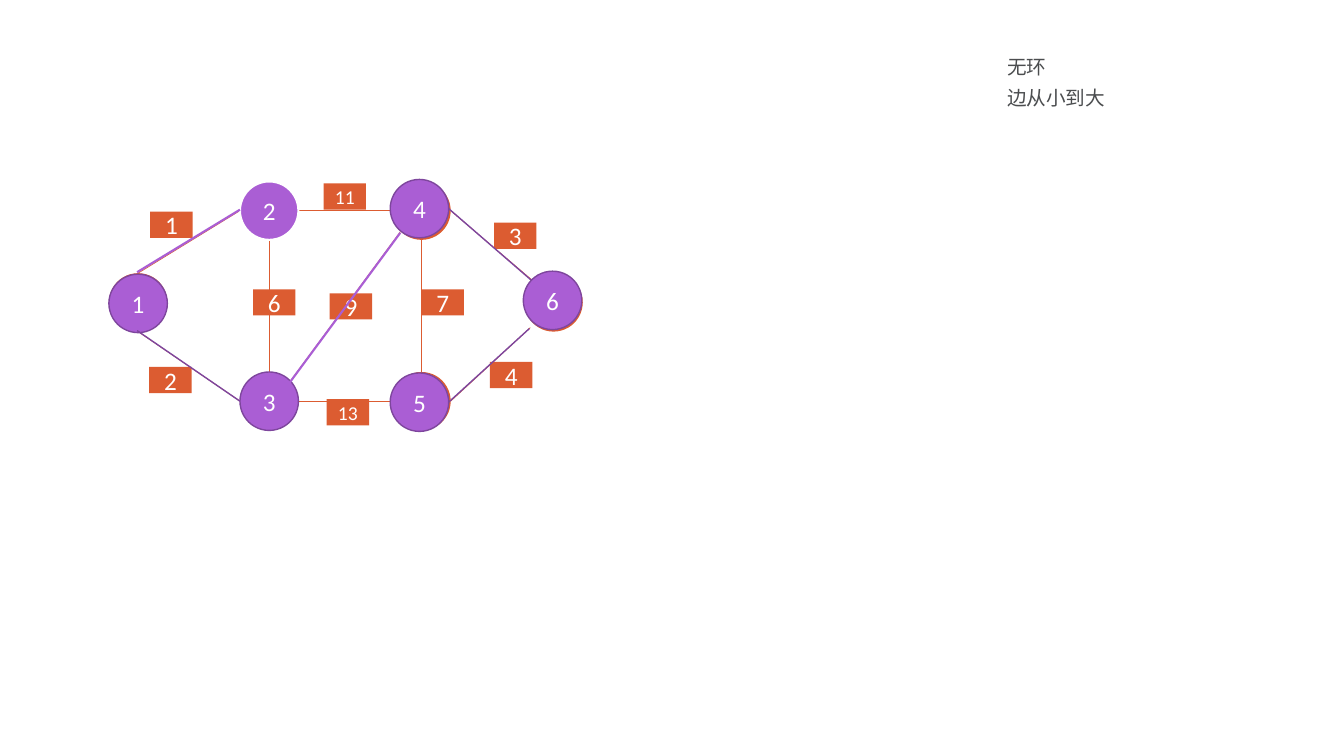
from dataclasses import dataclass

from pptx import Presentation
from pptx.dml.color import RGBColor
from pptx.enum.shapes import MSO_CONNECTOR, MSO_SHAPE
from pptx.enum.text import MSO_ANCHOR, MSO_AUTO_SIZE, PP_ALIGN
from pptx.oxml.ns import qn
from pptx.util import Inches, Pt

OVAL = MSO_SHAPE.OVAL
RECTANGLE = MSO_SHAPE.RECTANGLE
STRAIGHT = MSO_CONNECTOR.STRAIGHT
MIDDLE = MSO_ANCHOR.MIDDLE
TOP = MSO_ANCHOR.TOP
CENTER = PP_ALIGN.CENTER
LEFT = PP_ALIGN.LEFT
GROW = MSO_AUTO_SIZE.SHAPE_TO_FIT_TEXT


@dataclass(frozen=True)
class Theme:
    graph: RGBColor = RGBColor.from_string("DC5C31")
    tree: RGBColor = RGBColor.from_string("AA5ED4")
    outline: RGBColor = RGBColor.from_string("7E469D")
    white: RGBColor = RGBColor.from_string("FFFFFF")
    ink: RGBColor = RGBColor.from_string("4B4D4F")
    label_font: str = "Calibri"
    note_font: str = "Arial"
    large: int = 18
    small: int = 14


THEME = Theme()
NODE_SIZE = 0.58
WEIGHT_WIDTH, WEIGHT_HEIGHT = 0.42, 0.26

GRAPH_NODES = {"4": (2.89, 0.3), "1": (0.08, 1.21), "5": (2.89, 2.19), "6": (4.2, 1.21)}
GRAPH_EDGES = [
    ((1.96, 0.59), (2.89, 0.59)),
    ((2.97, 0.8), (1.88, 2.28)),
    ((1.67, 0.88), (1.67, 2.19)),
    ((1.38, 0.59), (0.37, 1.21)),
    ((0.37, 1.79), (1.38, 2.48)),
    ((3.18, 0.88), (3.18, 2.19)),
    ((1.96, 2.48), (2.89, 2.48)),
    ((3.47, 0.59), (4.29, 1.29)),
    ((4.26, 1.75), (3.47, 2.48)),
]
WEIGHTS = {
    "1": (0.49, 0.6), "11": (2.21, 0.32), "3": (3.9, 0.71),
    "2": (0.48, 2.14), "9": (2.27, 1.41), "6": (1.51, 1.37),
    "13": (2.24, 2.46), "4": (3.86, 2.09), "7": (3.18, 1.37),
}
TREE_NODES = {
    "2": (1.38, 0.3), "1": (0.08, 1.22), "3": (1.38, 2.19),
    "4": (2.87, 0.28), "6": (4.19, 1.19), "5": (2.87, 2.2),
}
TREE_EDGES = [
    ((0.36, 1.78), (1.38, 2.48)),
    ((3.45, 0.57), (4.27, 1.28)),
    ((4.25, 1.76), (3.45, 2.49)),
]
BOLD_TREE_EDGES = [((1.38, 0.58), (0.36, 1.2)), ((2.97, 0.81), (1.87, 2.3))]


def write_text(frame, text, *, font, size, color, align=LEFT, anchor=TOP, spacing=None):
    frame.word_wrap = False
    frame.vertical_anchor = anchor
    for index, line in enumerate(text.split("\n")):
        para = frame.paragraphs[0] if index == 0 else frame.add_paragraph()
        para.alignment = align
        if spacing:
            para.line_spacing = spacing
        span = para.add_run()
        span.text = line
        span.font.name = font
        span.font.size = Pt(size)
        span.font.color.rgb = color


def add_label(page, kind, box, text, fill, line=None, width=1):
    shape = page.shapes.add_shape(kind, *[Inches(value) for value in box])
    shape.shadow.inherit = False
    shape.fill.solid()
    shape.fill.fore_color.rgb = fill
    if line is None:
        shape.line.fill.background()
    else:
        shape.line.color.rgb = line
        shape.line.width = Pt(width)
    frame = shape.text_frame
    frame.margin_left = frame.margin_right = frame.margin_top = frame.margin_bottom = 0
    size = THEME.small if len(text) > 1 else THEME.large
    write_text(frame, text, font=THEME.label_font, size=size, color=THEME.white,
               align=CENTER, anchor=MIDDLE)


def add_edges(page, left, top, edges, color, width):
    for (start_x, start_y), (end_x, end_y) in edges:
        edge = page.shapes.add_connector(
            STRAIGHT, Inches(left + start_x), Inches(top + start_y),
            Inches(left + end_x), Inches(top + end_y))
        edge.line.color.rgb = color
        edge.line.width = Pt(width)
        properties = edge.line._get_or_add_ln().getparent()
        properties.append(properties.makeelement(qn("a:effectLst"), {}))


def add_graph(page, left, top):
    for name, (x, y) in GRAPH_NODES.items():
        add_label(page, OVAL, (left + x, top + y, NODE_SIZE, NODE_SIZE), name, THEME.graph)
    add_edges(page, left, top, GRAPH_EDGES, THEME.graph, 0.5)
    for weight, (x, y) in WEIGHTS.items():
        box = (left + x, top + y, WEIGHT_WIDTH, WEIGHT_HEIGHT)
        add_label(page, RECTANGLE, box, weight, THEME.graph)


def add_tree(page, left, top):
    for name, (x, y) in TREE_NODES.items():
        line, width = (THEME.white, 1.5) if name == "2" else (THEME.outline, 1)
        box = (left + x, top + y, NODE_SIZE, NODE_SIZE)
        add_label(page, OVAL, box, name, THEME.tree, line, width)
    add_edges(page, left, top, TREE_EDGES, THEME.outline, 1)
    add_edges(page, left, top, BOLD_TREE_EDGES, THEME.tree, 1.5)


def add_note(page, left, top, width, height):
    box = page.shapes.add_textbox(Inches(left), Inches(top), Inches(width), Inches(height))
    box.text_frame.auto_size = GROW
    write_text(box.text_frame, "无环\n边从小到大", font=THEME.note_font,
               size=THEME.small, color=THEME.ink, spacing=1.3)


def main():
    deck = Presentation()
    deck.slide_width, deck.slide_height = Inches(13.33), Inches(7.5)
    page = deck.slides.add_slide(deck.slide_layouts[6])
    add_graph(page, 1, 1.5)
    add_note(page, 9.89, 0.43, 1.18, 0.71)
    add_tree(page, 1, 1.5)
    deck.save("out.pptx")


if __name__ == "__main__":
    main()
